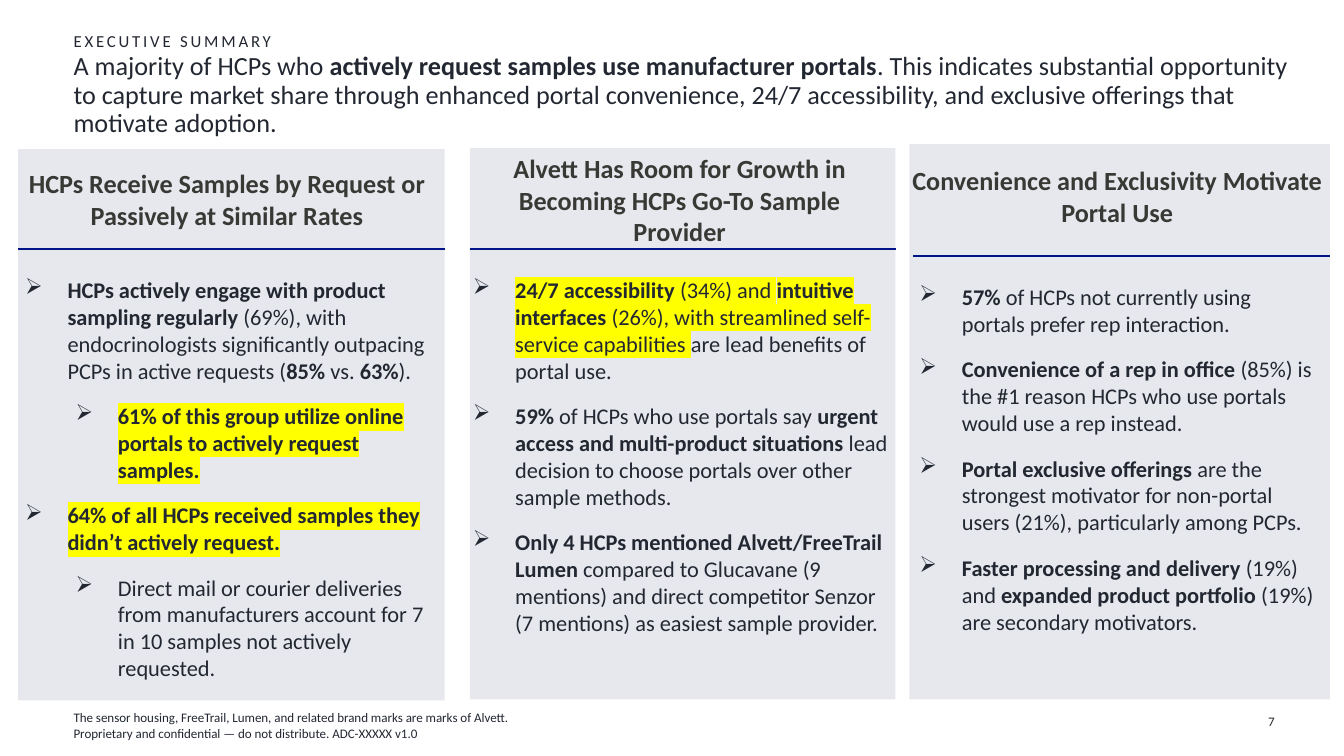
from dataclasses import dataclass

from lxml import etree
from pptx import Presentation
from pptx.dml.color import RGBColor
from pptx.enum.shapes import MSO_CONNECTOR, MSO_SHAPE
from pptx.enum.text import MSO_ANCHOR, PP_ALIGN
from pptx.oxml.ns import qn
from pptx.util import Inches, Pt

RECTANGLE = MSO_SHAPE.RECTANGLE
STRAIGHT = MSO_CONNECTOR.STRAIGHT
TOP, MIDDLE, BOTTOM = MSO_ANCHOR.TOP, MSO_ANCHOR.MIDDLE, MSO_ANCHOR.BOTTOM
LEFT, CENTER, RIGHT = PP_ALIGN.LEFT, PP_ALIGN.CENTER, PP_ALIGN.RIGHT

FONT = "Calibri"
COLORS = {
    "text": "222731",
    "heading": "383834",
    "panel": "E6E8EE",
    "rule": "001489",
    "highlight": "FFFF00",
}
BULLET_INDENT = 0.42
LEVEL_INDENT = 0.5


@dataclass(frozen=True)
class Box:
    left: float
    top: float
    width: float
    height: float

    def lengths(self):
        return [Inches(v) for v in (self.left, self.top, self.width, self.height)]


@dataclass(frozen=True)
class Span:
    text: str
    bold: bool = False
    marked: bool = False


@dataclass(frozen=True)
class Point:
    spans: list[Span]
    level: int = 0


@dataclass(frozen=True)
class Column:
    panel: Box
    heading: str
    heading_box: Box
    rule_left: float
    rule_right: float
    rule_y: float
    points_box: Box
    points: list[Point]


COLUMNS = [
    Column(
        Box(0.18, 1.48, 4.23, 5.47),
        "HCPs Receive Samples by Request or Passively at Similar Rates",
        Box(0.19, 1.61, 4.22, 0.73),
        0.18, 4.41, 2.47,
        Box(0.25, 2.69, 4.1, 4.33),
        [
            Point([
                Span("HCPs actively engage with product sampling regularly ", True),
                Span("(69%), with endocrinologists significantly outpacing PCPs in active requests ("),
                Span("85%", True),
                Span(" vs. "),
                Span("63%", True),
                Span(")."),
            ]),
            Point([Span("61% of this group utilize online portals to actively request samples.", True, True)], 1),
            Point([Span("64% of all HCPs received samples they didn’t actively request.", True, True)]),
            Point([Span("Direct mail or courier deliveries from manufacturers account for 7 in 10 "
                        "samples not actively requested.")], 1),
        ],
    ),
    Column(
        Box(4.66, 1.47, 4.22, 5.47),
        "Alvett Has Room for Growth in Becoming HCPs Go-To Sample Provider",
        Box(4.68, 1.46, 4.22, 1.04),
        4.66, 8.89, 2.47,
        Box(4.69, 2.69, 4.32, 3.7),
        [
            Point([
                Span("24/7 accessibility ", True, True),
                Span("(34%) and ", False, True),
                Span("intuitive interfaces", True, True),
                Span(" (26%), with streamlined self-service capabilities ", False, True),
                Span("are lead benefits of portal use."),
            ]),
            Point([
                Span("59% ", True),
                Span("of HCPs who use portals say "),
                Span("urgent access and multi-product situations ", True),
                Span("lead decision to choose portals over other sample methods."),
            ]),
            Point([
                Span("Only 4 HCPs mentioned Alvett/FreeTrail Lumen", True),
                Span(" compared to Glucavane (9 mentions) and direct competitor Senzor (7 mentions) "
                     "as easiest sample provider."),
            ]),
        ],
    ),
    Column(
        Box(9.02, 1.43, 4.17, 5.51),
        "Convenience and Exclusivity Motivate Portal Use",
        Box(9.02, 1.58, 4.22, 0.73),
        9.06, 13.19, 2.54,
        Box(9.12, 2.76, 4.03, 4.06),
        [
            Point([Span("57% ", True),
                   Span("of HCPs not currently using portals prefer rep interaction.")]),
            Point([Span("Convenience of a rep in office ", True),
                   Span("(85%) is the #1 reason HCPs who use portals would use a rep instead.")]),
            Point([Span("Portal exclusive offerings ", True),
                   Span("are the strongest motivator for non-portal users (21%), particularly among PCPs.")]),
            Point([
                Span("Faster processing and delivery ", True),
                Span("(19%) and "),
                Span("expanded product portfolio ", True),
                Span("(19%) are secondary motivators."),
            ]),
        ],
    ),
]

FOOTER = [
    "The sensor housing, FreeTrail, Lumen, and related brand marks are marks of Alvett.",
    "Proprietary and confidential — do not distribute. ADC-XXXXX v1.0",
]
TAKEAWAY = [
    Span("A majority of HCPs who "),
    Span("actively request samples use manufacturer portals", True),
    Span(". This indicates substantial opportunity to capture market share through enhanced portal "
         "convenience, 24/7 accessibility, and exclusive offerings that motivate adoption."),
]


def add_span(paragraph, span: Span, size: float, color: str):
    run = paragraph.add_run()
    run.text = span.text
    font = run.font
    font.name, font.size, font.bold = FONT, Pt(size), span.bold
    font.color.rgb = RGBColor.from_string(COLORS[color])
    properties = run._r.get_or_add_rPr()
    if span.marked:
        highlight = etree.Element(qn("a:highlight"))
        etree.SubElement(highlight, qn("a:srgbClr"), val=COLORS["highlight"])
        properties.find(qn("a:latin")).addprevious(highlight)
    return properties


def add_text(slide, box: Box, paragraphs: list[list[Span]], size: float, color: str = "text",
             anchor=TOP, align=LEFT, pad_y: float = 0.05, pad_right: float = 0.1):
    """Add a wrapped text box and return its text frame."""
    frame = slide.shapes.add_textbox(*box.lengths()).text_frame
    frame.word_wrap = True
    frame.vertical_anchor = anchor
    frame.margin_left, frame.margin_right = 0, Inches(pad_right)
    frame.margin_top = frame.margin_bottom = Inches(pad_y)
    for index, spans in enumerate(paragraphs):
        paragraph = frame.add_paragraph() if index else frame.paragraphs[0]
        paragraph.alignment = align
        for span in spans:
            add_span(paragraph, span, size, color)
    return frame


def add_points(slide, box: Box, points: list[Point]) -> None:
    frame = add_text(slide, box, [point.spans for point in points], 16)
    for paragraph, point in zip(frame.paragraphs, points):
        paragraph.level = point.level
        paragraph.space_after = Pt(13.3)
        properties = paragraph._p.get_or_add_pPr()
        properties.set("marL", str(Inches(BULLET_INDENT + LEVEL_INDENT * point.level)))
        properties.set("indent", str(-Inches(BULLET_INDENT)))
        etree.SubElement(properties, qn("a:buChar"), char="➢")


def add_column(slide, column: Column) -> None:
    panel = slide.shapes.add_shape(RECTANGLE, *column.panel.lengths())
    panel.shadow.inherit = False
    panel.fill.solid()
    panel.fill.fore_color.rgb = RGBColor.from_string(COLORS["panel"])
    panel.line.fill.background()
    add_points(slide, column.points_box, column.points)
    add_text(slide, column.heading_box, [[Span(column.heading, True)]], 18.7, "heading", MIDDLE, CENTER)
    rule_y = Inches(column.rule_y)
    rule = slide.shapes.add_connector(
        STRAIGHT, Inches(column.rule_left), rule_y, Inches(column.rule_right), rule_y)
    rule.line.color.rgb = RGBColor.from_string(COLORS["rule"])
    rule.line.width = Pt(1.5)
    etree.SubElement(rule._element.spPr, qn("a:effectLst"))


def main() -> None:
    deck = Presentation()
    deck.slide_width, deck.slide_height = Inches(13.33), Inches(7.5)
    slide = deck.slides.add_slide(deck.slide_layouts[6])

    add_text(slide, Box(0.73, 6.94, 5.56, 0.41), [[Span(line)] for line in FOOTER], 9.3,
             anchor=BOTTOM, pad_y=0, pad_right=0)
    kicker = add_text(slide, Box(0.73, 0.3, 7.98, 0.38), [[Span("EXECUTIVE SUMMARY")]], 12, pad_y=0)
    kicker.paragraphs[0].runs[0]._r.get_or_add_rPr().set("spc", "200")
    takeaway = add_text(slide, Box(0.73, 0.53, 12.34, 1.4), [TAKEAWAY], 18.7, pad_y=0, pad_right=0.13)
    takeaway.paragraphs[0].line_spacing = 0.9
    for column in COLUMNS:
        add_column(slide, column)
    add_text(slide, Box(12.13, 6.88, 0.61, 0.4), [[Span("7")]], 9.3, anchor=BOTTOM, align=RIGHT)

    deck.save("out.pptx")


if __name__ == "__main__":
    main()
